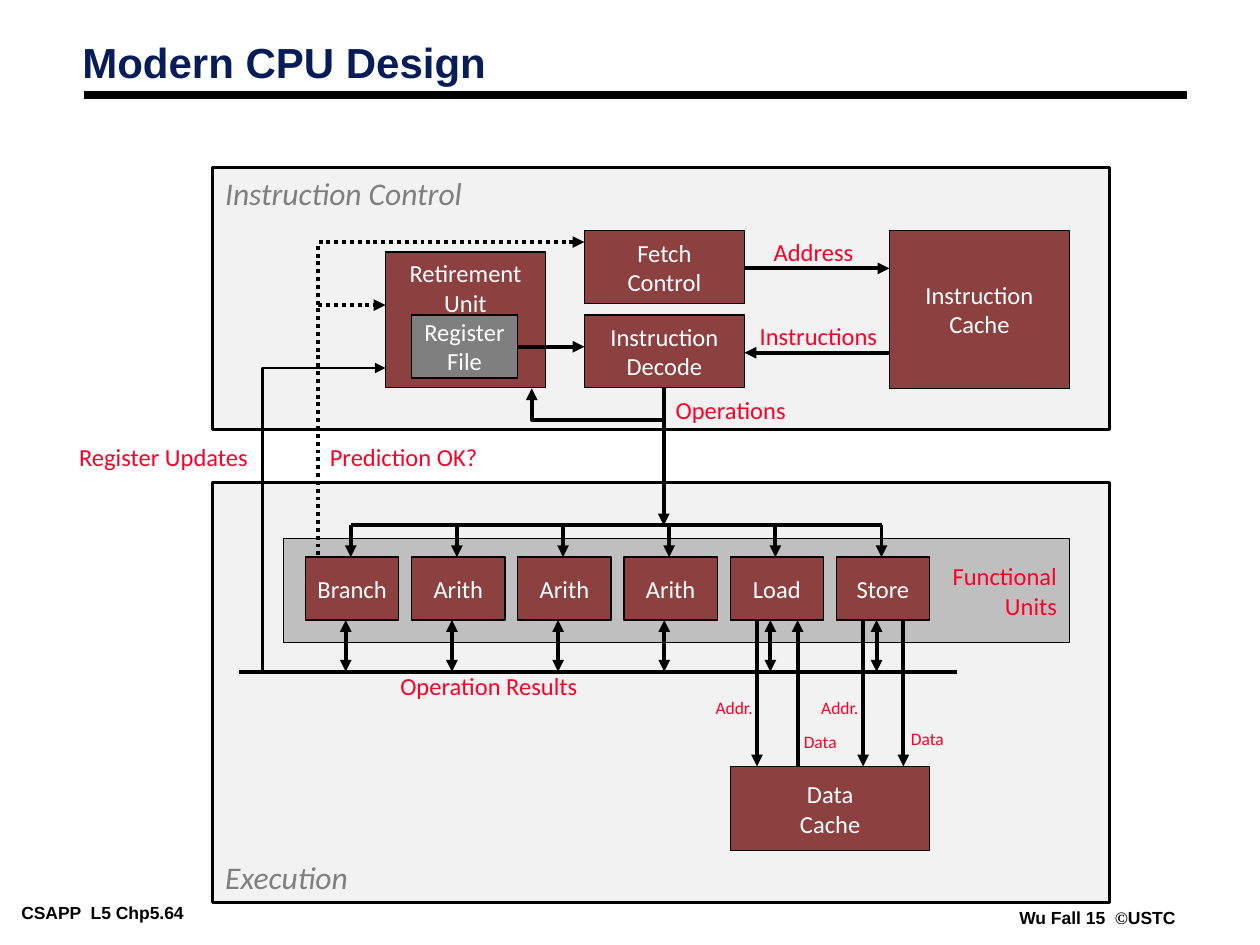
import dataclasses

import pptx
import pptx.dml.color
import pptx.enum.dml
import pptx.enum.shapes
import pptx.enum.text
import pptx.oxml
import pptx.oxml.ns
import pptx.util
from pptx.util import Cm

ALIGN = pptx.enum.text.PP_ALIGN
ANCHOR = pptx.enum.text.MSO_ANCHOR


@dataclasses.dataclass(frozen=True)
class Theme:
    """Colours, fonts and type sizes of the slide."""
    ink: str = "000000"
    title: str = "081D58"
    panel: str = "F2F2F2"
    panel_text: str = "7F7F7F"
    band: str = "BFBFBF"
    unit: str = "8C4040"
    register: str = "7F7F7F"
    unit_text: str = "FFFFFF"
    label: str = "FC0128"
    head_font: str = "Arial"
    body_font: str = "Calibri"
    symbol_font: str = "Times New Roman"
    title_size: float = 24
    panel_size: float = 18
    body_size: float = 14
    small_size: float = 10
    thin: float = 0.75
    medium: float = 1.5
    thick: float = 2.25
    rule: float = 4.5


THEME = Theme()


@dataclasses.dataclass(frozen=True)
class Box:
    """A region in centimetres."""
    x: float
    y: float
    w: float
    h: float

    def inner(self, x, y, w, h):
        """Return a box placed relative to this one."""
        return Box(self.x + x, self.y + y, w, h)

    def points(self, *pts):
        """Return slide lengths for points relative to this box."""
        return [(Cm(self.x + x), Cm(self.y + y)) for x, y in pts]

    def lengths(self):
        """Return left, top, width and height as lengths."""
        return Cm(self.x), Cm(self.y), Cm(self.w), Cm(self.h)


def rgb(value):
    """Return a colour object for a hex string."""
    return pptx.dml.color.RGBColor.from_string(value)


def style(p, size, color, align=ALIGN.LEFT, name=THEME.body_font, bold=None, italic=None):
    """Set the alignment and font of one paragraph."""
    p.alignment = align
    f = p.font
    f.size, f.name, f.bold, f.italic = pptx.util.Pt(size), name, bold, italic
    f.color.rgb = rgb(color)


def write(sp, text, anchor, **font):
    """Fill a shape with unwrapped, evenly styled lines of text."""
    tf = sp.text_frame
    tf.word_wrap = False
    tf.vertical_anchor = anchor
    tf.text = text
    for p in tf.paragraphs:
        style(p, **font)


def add_rect(s, box, fill, text, width=THEME.thin, anchor=ANCHOR.MIDDLE, **font):
    """Add an outlined rectangle with text."""
    sp = s.shapes.add_shape(pptx.enum.shapes.MSO_SHAPE.RECTANGLE, *box.lengths())
    sp.shadow.inherit = False
    sp.fill.solid()
    sp.fill.fore_color.rgb = rgb(fill)
    sp.line.color.rgb = rgb(THEME.ink)
    sp.line.width = pptx.util.Pt(width)
    write(sp, text, anchor, **font)


def add_unit(s, box, text, fill=THEME.unit, anchor=ANCHOR.MIDDLE):
    """Add a hardware unit."""
    add_rect(s, box, fill, text, anchor=anchor, size=THEME.body_size,
             color=THEME.unit_text, align=ALIGN.CENTER)


def add_panel(s, box, text, anchor):
    """Add the background panel of a region."""
    add_rect(s, box, THEME.panel, text, THEME.medium, anchor,
             size=THEME.panel_size, color=THEME.panel_text, italic=True)


def add_label(s, box, text, size=THEME.body_size, align=ALIGN.CENTER):
    """Add a signal label."""
    sp = s.shapes.add_textbox(*box.lengths())
    write(sp, text, ANCHOR.TOP, size=size, color=THEME.label, align=align)


def add_wire(s, box, *pts, width=THEME.thick, ends=("tailEnd",), dotted=False):
    """Add a straight or bent line through points relative to a box."""
    first, *rest = box.points(*pts)
    if len(rest) == 1:
        sp = s.shapes.add_connector(pptx.enum.shapes.MSO_CONNECTOR.STRAIGHT, *first, *rest[0])
    else:
        fb = s.shapes.build_freeform(*first)
        fb.add_line_segments(rest, close=False)
        sp = fb.convert_to_shape()
        sp.fill.background()
    sp.line.color.rgb = rgb(THEME.ink)
    sp.line.width = pptx.util.Pt(width)
    if dotted:
        sp.line.dash_style = pptx.enum.dml.MSO_LINE.ROUND_DOT
    spPr = sp._element.spPr
    for end in ends:
        head = pptx.oxml.parse_xml(f'<a:{end} {pptx.oxml.ns.nsdecls("a")} type="triangle"/>')
        spPr.get_or_add_ln().append(head)
    spPr.append(pptx.oxml.parse_xml(f'<a:effectLst {pptx.oxml.ns.nsdecls("a")}/>'))


def set_insets(tf):
    """Set the narrow margins of title and footers."""
    tf.margin_left = tf.margin_right = Cm(0.18)
    tf.margin_top = tf.margin_bottom = Cm(0.08)


def draw_title(s, box):
    """Place the title and the rule below it."""
    sp = s.shapes.title
    sp.left, sp.top, sp.width, sp.height = box.lengths()
    tf = sp.text_frame
    tf.text = "Modern CPU Design"
    tf.auto_size = pptx.enum.text.MSO_AUTO_SIZE.NONE
    tf.vertical_anchor = ANCHOR.TOP
    set_insets(tf)
    p = tf.paragraphs[0]
    p.line_spacing = 0.87
    style(p, THEME.title_size, THEME.title, name=THEME.head_font, bold=True)
    add_wire(s, box, (0.22, 1.12), (22.45, 1.12), width=THEME.rule, ends=())


def draw_footer(s, box, *parts):
    """Place a footer made of text and font pairs."""
    tf = s.shapes.add_textbox(*box.lengths()).text_frame
    tf.word_wrap = False
    set_insets(tf)
    p = tf.paragraphs[0]
    for text, name in parts:
        r = p.add_run()
        r.text, r.font.name = text, name
    style(p, THEME.small_size, THEME.ink, name=THEME.head_font, bold=True)


def draw_execution(s, box):
    """Draw the functional units, the result bus and the data cache."""
    add_panel(s, box, "Execution", ANCHOR.BOTTOM)
    add_rect(s, box.inner(1.42, 1.12, 15.85, 2.11), THEME.band, "Functional\nUnits",
             size=THEME.body_size, color=THEME.label, align=ALIGN.RIGHT)
    units = ["Branch", "Arith", "Arith", "Arith", "Load", "Store"]
    pitch, top, bottom, feed, bus = 2.14, 1.5, 2.77, 0.86, 3.81
    for i, text in enumerate(units):
        dx = i * pitch
        add_unit(s, box.inner(1.87 + dx, top, 1.88, bottom - top), text)
        add_wire(s, box, (2.78 + dx, feed), (2.78 + dx, top))
        add_wire(s, box, (2.68 + dx, bottom), (2.68 + dx, bus), ends=("headEnd", "tailEnd"))
    add_wire(s, box, (2.78, feed), (2.78 + pitch * (len(units) - 1), feed), ends=())
    add_wire(s, box, (0.53, bus), (15.01, bus), ends=())
    cache = 5.72
    add_unit(s, box.inner(10.44, cache, 4.01, 1.7), "Data\nCache")
    for x, start, stop in [(10.97, bottom, cache), (11.79, cache, bottom),
                           (13.11, bottom, cache), (13.92, bottom, cache)]:
        add_wire(s, box, (x, start), (x, stop))
    add_label(s, box.inner(3.53, 3.68, 4.3, 0.86), "Operation Results", align=ALIGN.LEFT)
    for text, x, y, w in [("Addr.", 9.86, 4.19, 1.3), ("Addr.", 11.99, 4.19, 1.3),
                          ("Data", 11.66, 4.88, 1.17), ("Data", 13.82, 4.83, 1.17)]:
        add_label(s, box.inner(x, y, w, 0.69), text, THEME.small_size)


def draw_control(s, box):
    """Draw the fetch, decode, cache and retirement units."""
    add_panel(s, box, "Instruction Control", ANCHOR.TOP)
    add_unit(s, box.inner(7.49, 1.27, 3.23, 1.47), "Fetch\nControl")
    add_unit(s, box.inner(7.49, 2.97, 3.23, 1.47), "Instruction\nDecode")
    add_unit(s, box.inner(13.64, 1.27, 3.63, 3.18), "Instruction\nCache")
    add_unit(s, box.inner(3.48, 1.7, 3.23, 2.74), "Retirement\nUnit", anchor=ANCHOR.TOP)
    add_unit(s, box.inner(4.01, 2.97, 2.13, 1.27), "Register\nFile", THEME.register)
    add_wire(s, box, (10.72, 2.03), (13.64, 2.03))
    add_wire(s, box, (13.64, 3.73), (10.72, 3.73))
    add_wire(s, box, (6.15, 3.61), (7.49, 3.61))
    add_wire(s, box, (9.09, 5.08), (6.43, 5.08), (6.43, 4.45))
    for text, x, y, w in [("Address", 10.96, 1.27, 2.3), ("Instructions", 10.61, 2.97, 3.2),
                          ("Operations", 8.94, 4.45, 3)]:
        add_label(s, box.inner(x, y, w, 0.86), text)


def draw_links(s, box):
    """Draw the signals between control and execution, relative to the control box."""
    add_wire(s, box, (9.09, 4.45), (9.09, 7.21))
    add_wire(s, box, (7.49, 1.5), (2.13, 1.5), (2.13, 7.85), ends=("headEnd",), dotted=True)
    add_wire(s, box, (2.13, 2.77), (3.48, 2.77), dotted=True)
    add_wire(s, box, (3.48, 4.04), (1, 4.04), (1, 10.16), width=THEME.medium, ends=("headEnd",))
    add_label(s, box.inner(2.11, 5.41, 3.7, 0.86), "Prediction OK?", align=ALIGN.LEFT)
    add_label(s, box.inner(-3.2, 5.4, 4.16, 0.86), "Register Updates", align=ALIGN.RIGHT)


def main():
    """Build and save the slide."""
    prs = pptx.Presentation()
    prs.slide_width, prs.slide_height = Cm(25.4), Cm(19.05)
    s = prs.slides.add_slide(prs.slide_layouts[5])
    control = Box(4.29, 3.38, 18.08, 5.28)
    draw_title(s, Box(1.48, 0.79, 16.28, 1.6))
    draw_execution(s, Box(4.29, 9.73, 18.08, 8.46))
    draw_control(s, control)
    draw_links(s, control)
    draw_footer(s, Box(0.25, 18.11, 4.95, 0.56), ("CSAPP  L5 Chp5.64", THEME.head_font))
    draw_footer(s, Box(20.37, 18.21, 3.51, 0.56), ("Wu Fall 15  ", THEME.head_font),
                ("©", THEME.symbol_font), ("USTC", THEME.head_font))
    prs.save("out.pptx")


if __name__ == "__main__":
    main()
